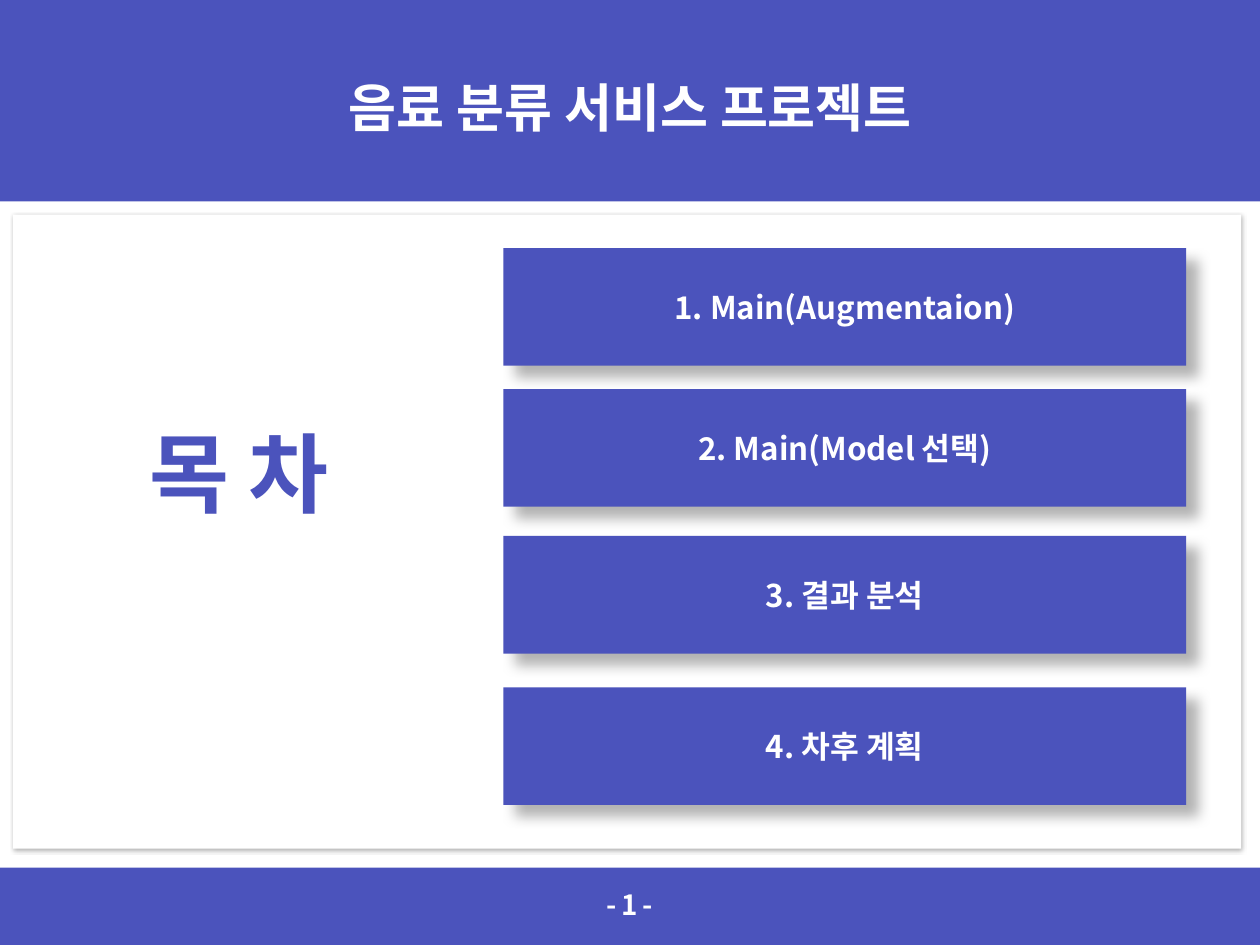
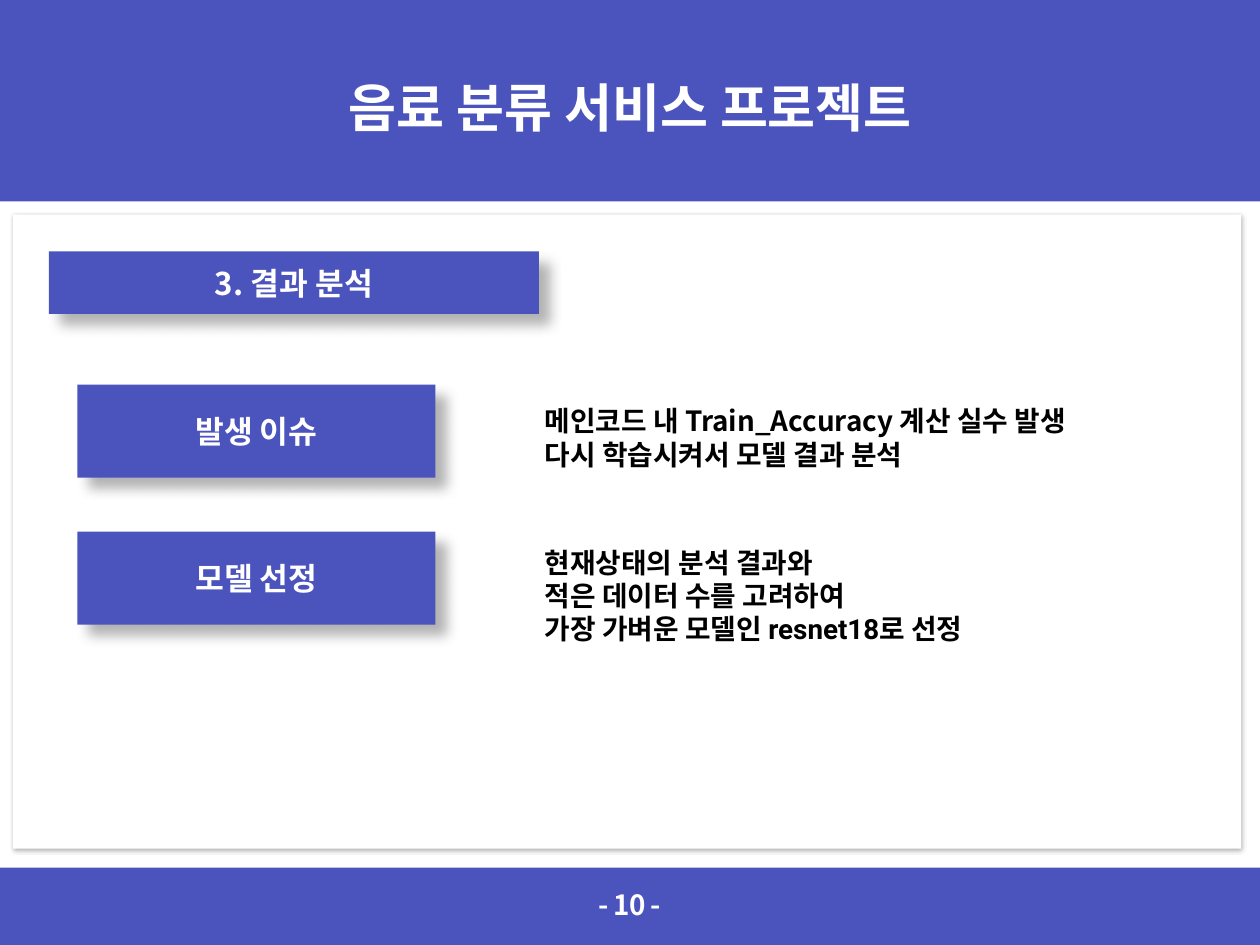
from lxml.etree import SubElement
from pptx import Presentation
from pptx.dml.color import RGBColor
from pptx.enum.shapes import MSO_SHAPE
from pptx.enum.text import MSO_ANCHOR, MSO_AUTO_SIZE, PP_ALIGN
from pptx.oxml.ns import qn
from pptx.util import Inches, Pt

INDIGO, WHITE, BLACK = "4B53BC", "FFFFFF", "000000"
KOREAN_FONT, LATIN_FONT = "Noto Sans CJK KR", "Roboto"
CARD_SHADOW = {"blur": 4.5, "distance": 2.6, "angle": 53}
BUTTON_SHADOW = {"blur": 15, "distance": 18, "angle": 45}
PROJECT_TITLE = "음료 분류 서비스 프로젝트"


def color(value):
    return RGBColor.from_string(value)


class ProjectDeck:
    """Holds the shared style and current slide; places are left, top, width, height in percent."""

    def __init__(self):
        self.deck = Presentation()
        self.deck.slide_width, self.deck.slide_height = Inches(20.15), Inches(15.11)
        self.layout = self.deck.slide_layouts[0]
        self.page = None

    def area(self, place):
        sides = (self.deck.slide_width, self.deck.slide_height) * 2
        return [round(side * share / 100) for side, share in zip(sides, place)]

    def add_page(self, number):
        self.page = self.deck.slides.add_slide(self.layout)
        if len(self.deck.slides) == 1:
            self.build_background()
        title, footer = self.page.placeholders
        self.placeholder(title, (13.55, 6.55, 72.95, 10.26), PROJECT_TITLE, 60, MSO_ANCHOR.MIDDLE)
        self.placeholder(footer, (40.6, 94.04, 18.76, 3.24), f"- {number} -", 32, MSO_ANCHOR.TOP)
        span = footer.text_frame.paragraphs[0].runs[0]
        span._r.get_or_add_rPr().set("spc", "-100")

    def build_background(self):
        parts = (
            self.rectangle((0, 91.8, 100, 8.2), INDIGO),
            self.rectangle((0, 0, 100, 21.3), INDIGO),
            self.rectangle((1.04, 22.7, 97.47, 67.1), WHITE, CARD_SHADOW),
        )
        for index, part in enumerate(parts):
            part.element.nvSpPr.cNvPr.set("id", str(20 + index))
            self.layout.shapes.element.insert(2 + index, part.element)

    def placeholder(self, box, place, text, size, anchor):
        box.left, box.top, box.width, box.height = self.area(place)
        self.fill_text(box, [text], size, WHITE, PP_ALIGN.CENTER, anchor)
        para = box.text_frame.paragraphs[0]
        para.line_spacing = 0.9
        para.space_before = Pt(0)

    def rectangle(self, place, fill, shadow=None):
        box = self.page.shapes.add_shape(MSO_SHAPE.RECTANGLE, *self.area(place))
        box.fill.solid()
        box.fill.fore_color.rgb = color(fill)
        box.line.fill.background()
        box.shadow.inherit = False
        if shadow:
            effects = box.element.spPr.find(qn("a:effectLst"))
            outer = SubElement(
                effects, qn("a:outerShdw"), blurRad=str(Pt(shadow["blur"])),
                dist=str(Pt(shadow["distance"])), dir=str(shadow["angle"] * 60000),
                algn="tl", rotWithShape="0",
            )
            tone = SubElement(outer, qn("a:srgbClr"), val=BLACK)
            SubElement(tone, qn("a:alpha"), val="30000")
        return box

    def button(self, place, text):
        box = self.rectangle(place, INDIGO, BUTTON_SHADOW)
        self.fill_text(box, [text], 36, WHITE, PP_ALIGN.CENTER, MSO_ANCHOR.MIDDLE)

    def text(self, place, lines, size, tone, font=KOREAN_FONT):
        box = self.page.shapes.add_textbox(*self.area(place))
        self.fill_text(box, lines, size, tone, PP_ALIGN.LEFT, MSO_ANCHOR.TOP, font)

    def fill_text(self, box, lines, size, tone, align, anchor, font=KOREAN_FONT):
        frame = box.text_frame
        frame.text = "\n".join(lines)
        frame.word_wrap = True
        frame.auto_size = MSO_AUTO_SIZE.NONE
        frame.vertical_anchor = anchor
        for para in frame.paragraphs:
            para.alignment = align
            para.font.size = Pt(size)
            para.font.bold = True
            para.font.color.rgb = color(tone)
            para.font.name = font
            defaults = para._p.pPr.find(qn("a:defRPr"))
            SubElement(defaults, qn("a:ea"), typeface=KOREAN_FONT)


def build_contents(project):
    project.add_page(1)
    project.text((11.36, 44.08, 17.87, 11.78), ["목 차"], 100, INDIGO)
    agenda = (
        (26.27, "1. Main(Augmentaion)"),
        (41.17, "2. Main(Model 선택)"),
        (56.72, "3. 결과 분석"),
        (72.73, "4. 차후 계획"),
    )
    for top, label in agenda:
        project.button((39.95, top, 54.2, 12.44), label)


def build_results(project):
    project.add_page(10)
    project.button((3.87, 26.6, 38.9, 6.62), "3. 결과 분석")
    for row, label in enumerate(("발생 이슈", "모델 선정")):
        project.button((6.15, 40.7 + 15.55 * row, 28.4, 9.86), label)
    issue = ["메인코드 내 Train_Accuracy 계산 실수 발생", "다시 학습시켜서 모델 결과 분석"]
    choice = ["현재상태의 분석 결과와", "적은 데이터 수를 고려하여", "가장 가벼운 모델인 resnet18로 선정"]
    project.text((42.73, 42.42, 44.67, 7.81), issue, 32, BLACK)
    project.text((42.73, 57.38, 44.67, 11.38), choice, 32, BLACK, LATIN_FONT)


def main():
    project = ProjectDeck()
    build_contents(project)
    build_results(project)
    project.deck.save("out.pptx")


if __name__ == "__main__":
    main()
